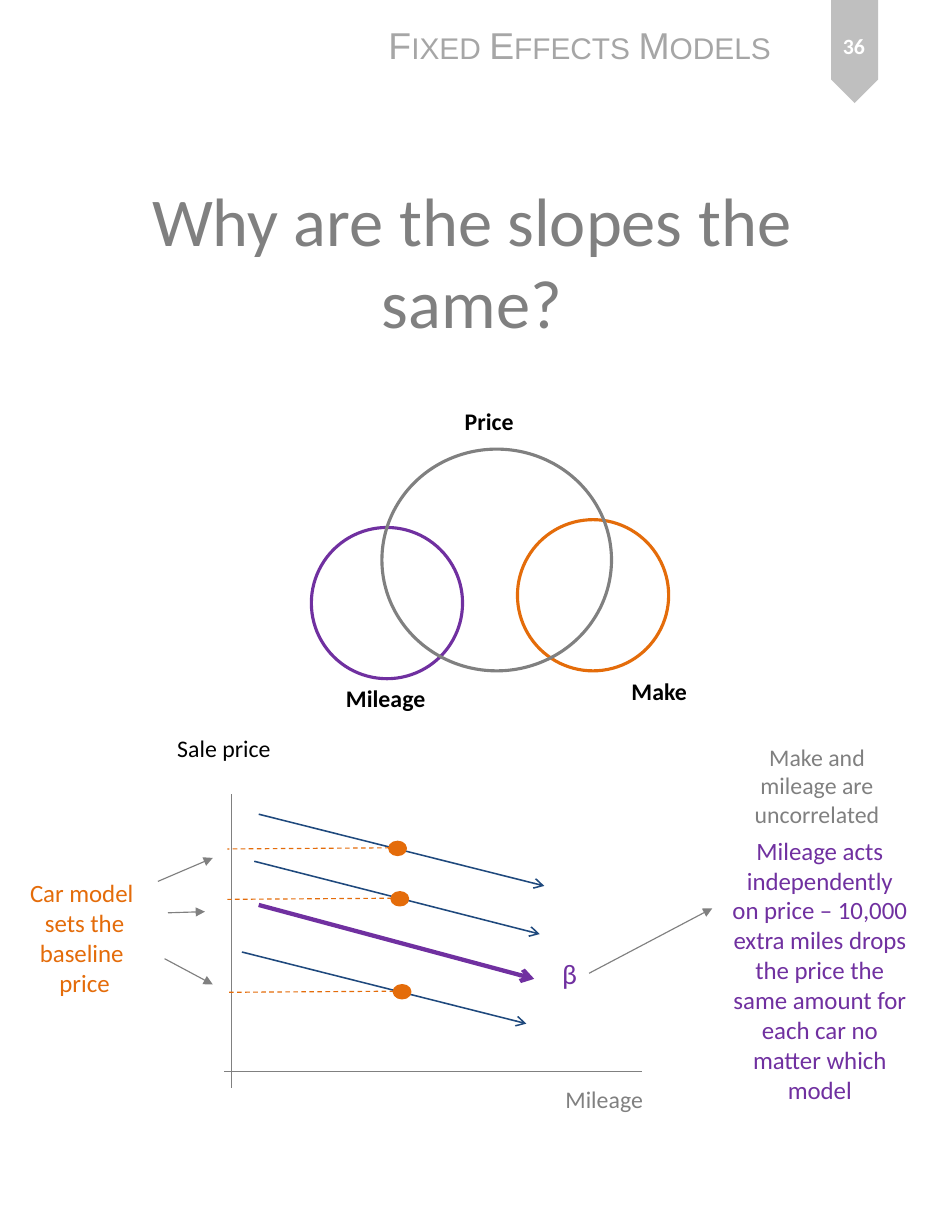
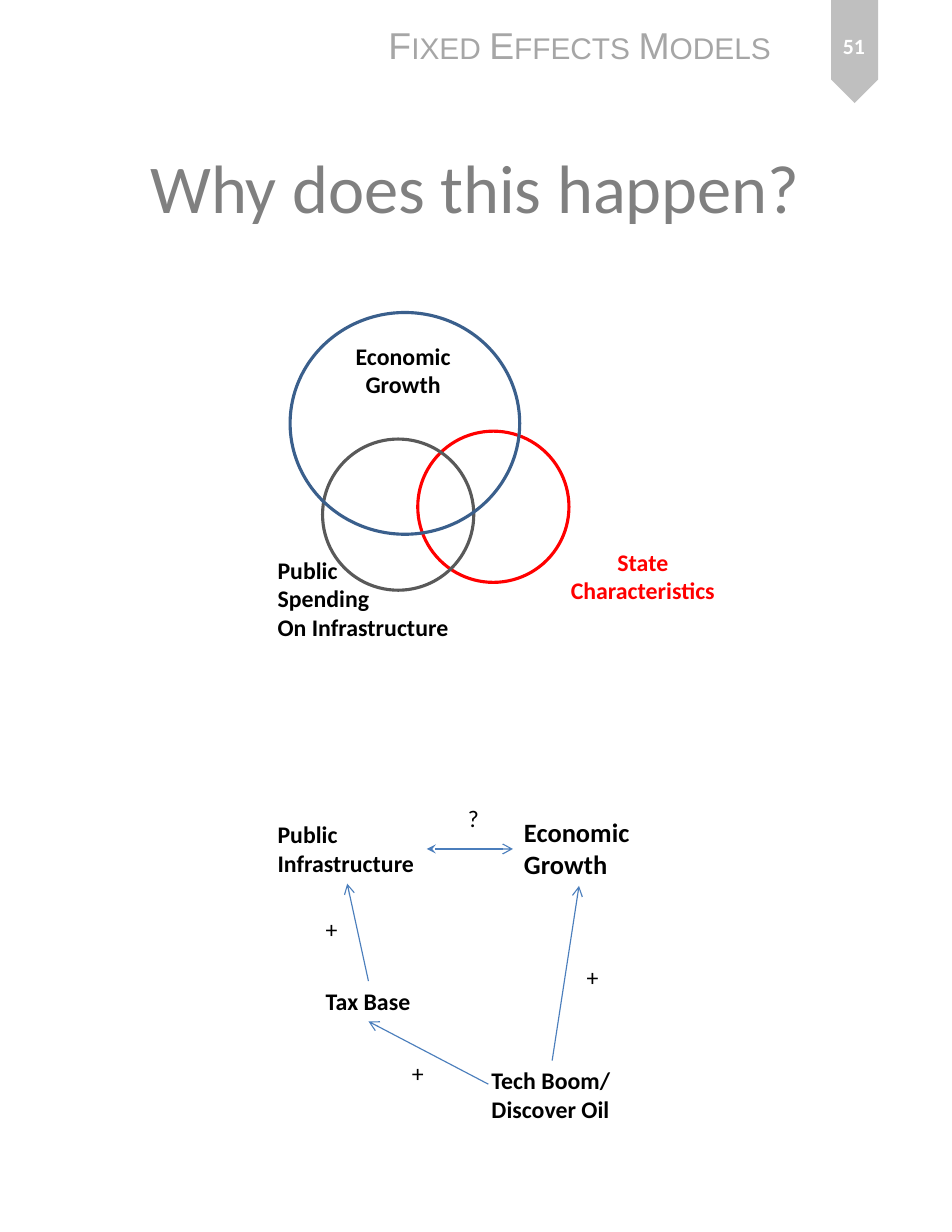
from lxml import etree
from pptx import Presentation
from pptx.dml.color import RGBColor
from pptx.enum.dml import MSO_LINE
from pptx.enum.shapes import MSO_CONNECTOR as Conn, MSO_SHAPE as Shape
from pptx.enum.text import MSO_ANCHOR as Anchor, PP_ALIGN as Align
from pptx.oxml.ns import qn
from pptx.util import Inches, Pt

BLACK, WHITE, RED = "000000", "FFFFFF", "FF0000"
GRAY, BAND, HEADING = "808080", "BFBFBF", "A6A6A6"
PURPLE, ORANGE, NAVY, BLUE = "7030A0", "E46C0A", "1F497D", "4B7EBC"
BODY = 15.3
SMALL, LARGE = (1.35, 1.35), (2.05, 1.98)  # circle sizes
BOLD = dict(bold=True)
MID = dict(align=Align.CENTER)
WRAP = dict(align=Align.CENTER, wrap=True)

# Circles: left, top, size, colour
# Labels: text, box (left, top, width, height), options
# Lines: start, end, colour, options
SLOPES = dict(
    number="36",
    title=("Why are the slopes the same?", 0.39, 1.41),
    circles=[
        (2.78, 4.71, SMALL, PURPLE),
        (4.62, 4.64, SMALL, ORANGE),
        (3.41, 4.01, LARGE, GRAY),
    ],
    labels=[
        ("Price", (4.05, 3.58, 0.64, 0.36), BOLD),
        ("Make", (5.54, 5.99, 0.7, 0.36), BOLD),
        ("Mileage", (2.99, 6.06, 0.92, 0.36), BOLD),
        ("Mileage", (4.95, 9.64, 0.9, 0.36), dict(color=GRAY)),
        ("Sale price", (1.48, 6.5, 1.04, 0.36), MID),
        ("β", (4.92, 8.49, 0.34, 0.4), dict(size=18, color=PURPLE)),
        ("Car model \nsets the baseline \nprice", (0.01, 7.79, 1.49, 1.18),
         dict(size=16, color=ORANGE, **WRAP)),
        ("Mileage acts independently on price – 10,000 extra miles drops "
         "the price the same amount for each car no matter which model",
         (6.43, 7.41, 1.78, 2.52), dict(size=16, color=PURPLE, **WRAP)),
        ("Make and mileage are uncorrelated", (6.53, 6.58, 1.53, 0.87),
         dict(color=GRAY, **WRAP)),
    ],
    lines=[
        # axes
        ((2.07, 7.09), (2.07, 9.71), GRAY, {}),
        ((5.73, 9.57), (2, 9.57), GRAY, {}),
        # common slope and one line per car model
        ((2.31, 8.08), (4.77, 8.74), PURPLE, dict(width=2.75, tail="arrow")),
        ((2.31, 7.27), (4.86, 7.91), NAVY, dict(width=1, tail="arrow")),
        ((2.27, 7.69), (4.82, 8.34), NAVY, dict(width=1, tail="arrow")),
        ((2.16, 8.5), (4.7, 9.14), NAVY, dict(width=1, tail="arrow")),
        # pointers from the notes
        ((1.41, 7.87), (1.9, 7.66), GRAY, dict(tail="triangle")),
        ((1.5, 8.15), (1.83, 8.14), GRAY, dict(tail="triangle")),
        ((1.47, 8.56), (1.9, 8.79), GRAY, dict(tail="triangle")),
        ((5.26, 8.69), (6.36, 8.11), GRAY, dict(tail="triangle")),
    ],
    # Baseline points: left, top of the dot
    dots=[(3.48, 7.52), (3.5, 7.97), (3.52, 8.8)],
)

GROWTH = dict(
    number="51",
    title=("Why does this happen?", 0.42, 0.75),
    circles=[
        (3.73, 3.85, SMALL, RED),
        (2.88, 3.92, SMALL, "595959"),
        (2.59, 2.79, LARGE, "3A5F8C"),
    ],
    labels=[
        ("Economic\nGrowth", (3.07, 3, 1.06, 0.62), BOLD | MID),
        ("State\nCharacteristics", (4.99, 4.84, 1.5, 0.62),
         dict(color=RED) | BOLD | MID),
        ("Public\nSpending\nOn Infrastructure", (2.38, 4.91, 1.74, 0.87), BOLD),
        ("Economic\nGrowth", (4.58, 7.24, 1.15, 0.67), dict(size=17) | BOLD),
        ("Public\nInfrastructure", (2.38, 7.27, 1.43, 0.62), BOLD),
        ("Tax Base", (2.81, 8.76, 0.96, 0.36), BOLD),
        ("Tech Boom/\nDiscover Oil", (4.29, 9.47, 1.27, 0.62), BOLD),
        ("?", (4.08, 7.13, 0.3, 0.36), {}),
        ("+", (5.14, 8.55, 0.31, 0.36), {}),
        ("+", (3.58, 9.4, 0.31, 0.36), {}),
        ("+", (2.81, 8.12, 0.31, 0.36), {}),
    ],
    lines=[
        ((3.81, 7.58), (4.58, 7.58), BLUE, dict(head="stealth", tail="arrow")),
        ((5.17, 7.91), (4.93, 9.47), BLUE, dict(head="arrow")),
        ((3.1, 7.89), (3.29, 8.76), BLUE, dict(head="arrow")),
        ((3.29, 9.12), (4.36, 9.68), BLUE, dict(head="arrow")),
    ],
    dots=[],
)


def rgb(color):
    return RGBColor.from_string(color)


def style(p, size, color, bold=False, font="Calibri", align=Align.LEFT):
    p.alignment = align
    p.font.name, p.font.size, p.font.bold = font, Pt(size), bold
    p.font.color.rgb = rgb(color)


def add_text(s, text, box, size=BODY, color=BLACK, wrap=False,
             anchor=Anchor.TOP, **kw):
    tf = s.shapes.add_textbox(*map(Inches, box)).text_frame
    tf.word_wrap, tf.vertical_anchor = wrap, anchor
    p = tf.paragraphs[0]
    p.text = text
    style(p, size, color, **kw)
    return p


def add_shape(s, kind, box, fill=None, line=None):
    sp = s.shapes.add_shape(kind, *map(Inches, box))
    sp.shadow.inherit = False
    if fill:
        sp.fill.solid()
        sp.fill.fore_color.rgb = rgb(fill)
    else:
        sp.fill.background()
    if line:
        sp.line.color.rgb, sp.line.width = rgb(line), Pt(2)
    else:
        sp.line.fill.background()
    return sp


def add_line(s, start, end, color, width=0.75, head=None, tail=None, dash=False):
    c = s.shapes.add_connector(Conn.STRAIGHT, *map(Inches, start + end))
    c.line.color.rgb, c.line.width = rgb(color), Pt(width)
    if dash:
        c.line.dash_style = MSO_LINE.DASH
    ln = c.line._get_or_add_ln()
    for tag, kind in (("a:headEnd", head), ("a:tailEnd", tail)):
        if kind:
            etree.SubElement(ln, qn(tag), type=kind)
    etree.SubElement(c._element.spPr, qn("a:effectLst"))


def add_frame(s, number, title):
    # Ribbon, running head and page number
    add_shape(s, Shape.PENTAGON, (7.17, 0.25, 0.92, 0.42), BAND).rotation = 90
    p = add_text(s, "Fixed Effects Models", (3.37, 0.15, 3.68, 0.5),
                 24, HEADING, font="Arial")
    p.runs[0]._r.get_or_add_rPr().set("cap", "small")
    add_text(s, number, (7.29, 0.11, 0.67, 0.59), 14, WHITE,
             anchor=Anchor.MIDDLE, **BOLD, **WRAP)
    # Title
    text, left, top = title
    sp = s.shapes.title
    sp.left, sp.top, sp.width, sp.height = map(Inches, (left, top, 7.65, 1.83))
    tf = sp.text_frame
    tf.word_wrap, tf.vertical_anchor = True, Anchor.MIDDLE
    tf.text = text
    style(tf.paragraphs[0], 44, GRAY, **MID)


def add_slide(prs, number, title, circles, labels, lines, dots):
    s = prs.slides.add_slide(prs.slide_layouts[5])
    add_frame(s, number, title)
    for left, top, size, color in circles:
        add_shape(s, Shape.OVAL, (left, top, *size), line=color)
    for start, end, color, opts in lines:
        add_line(s, start, end, color, **opts)
    for left, top in dots:
        add_shape(s, Shape.OVAL, (left, top, 0.14, 0.11), ORANGE, ORANGE)
        add_line(s, (left, top + 0.05), (2.03, top + 0.06), ORANGE, dash=True)
    for text, box, opts in labels:
        add_text(s, text, box, **opts)


def main():
    prs = Presentation()
    prs.slide_width, prs.slide_height = Inches(8.5), Inches(11)
    for content in (SLOPES, GROWTH):
        add_slide(prs, **content)
    prs.save("out.pptx")


if __name__ == "__main__":
    main()
